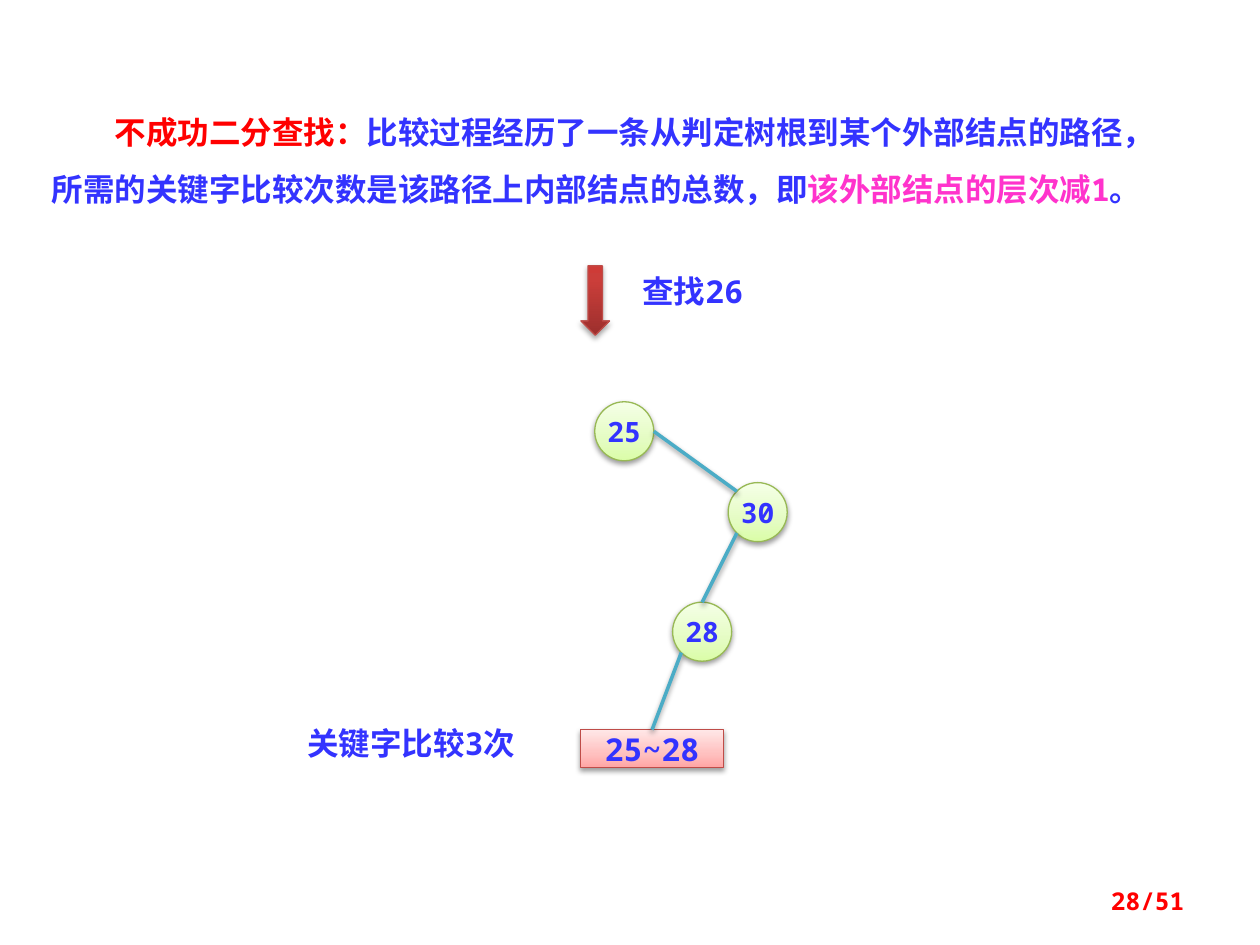
from dataclasses import dataclass
from math import sqrt

from lxml.etree import SubElement
from pptx import Presentation
from pptx.dml.color import RGBColor
from pptx.enum.shapes import MSO_CONNECTOR, MSO_SHAPE
from pptx.enum.text import MSO_ANCHOR, PP_ALIGN
from pptx.oxml import parse_xml
from pptx.oxml.ns import nsdecls, qn
from pptx.util import Cm, Pt


@dataclass(frozen=True)
class Theme:
    font: str = "Noto Sans Mono"
    blue: str = "3333FF"
    red: str = "FF0000"
    pink: str = "FF33CC"
    branch: str = "4BACC6"
    node_line: str = "98B955"
    leaf_line: str = "BF4C48"
    node_fill: tuple = ((0, "DAFDA7"), (35, "E4FCC2"), (100, "F5FFE7"))
    leaf_fill: tuple = ((0, "FFA6A5"), (35, "FFC0BF"), (100, "FFE7E7"))
    arrow_fill: tuple = ((0, "9C2F2D"), (80, "CB3E3A"), (100, "CE3B37"))
    body: int = 18
    key: int = 16
    page: int = 14


theme = Theme()


def add_text(paragraph, text, size, color):
    run = paragraph.add_run()
    run.text = text
    run.font.size = Pt(size)
    run.font.bold = True
    run.font.color.rgb = RGBColor.from_string(color)
    run.font.name = theme.font
    SubElement(run.font._element, qn("a:ea")).set("typeface", theme.font)


def style(item, line_color, line_width, stops=(), opacity=38, distance=1.6):
    item.line.color.rgb = RGBColor.from_string(line_color)
    item.line.width = Pt(line_width)
    properties = item._element.spPr
    if stops:
        item.shadow.inherit = False
        properties.remove(properties.find(qn("a:effectLst")))
        item.fill.gradient()
        item.fill.gradient_angle = 90
        stop_list = properties.find(".//" + qn("a:gsLst"))
        for old_stop in list(stop_list):
            stop_list.remove(old_stop)
        for position, color in stops:
            stop = SubElement(stop_list, qn("a:gs"), pos=str(position * 1000))
            SubElement(stop, qn("a:srgbClr"), val=color)
    properties.append(parse_xml(
        f'<a:effectLst {nsdecls("a")}><a:outerShdw blurRad="{Pt(3.1)}" '
        f'dist="{Pt(distance)}" dir="5400000" rotWithShape="0">'
        f'<a:srgbClr val="000000"><a:alpha val="{opacity * 1000}"/></a:srgbClr>'
        '</a:outerShdw></a:effectLst>'))


prs = Presentation()
prs.slide_width, prs.slide_height = Cm(25.4), Cm(19.05)
slide = prs.slides.add_slide(prs.slide_layouts[6])
shapes = slide.shapes

captions = [
    ((0.79, 1.78, 23.14, 2.44), theme.body, [
        ("不成功二分查找：", theme.red),
        ("比较过程经历了一条从判定树根到某个外部结点的路径，"
         "所需的关键字比较次数是该路径上内部结点的总数，即", theme.blue),
        ("该外部结点的层次减1", theme.pink),
        ("。", theme.blue)]),
    ((12.7, 5.36, 2.59, 1.02), theme.body, [("查找26", theme.blue)]),
    ((5.94, 14.48, 5.56, 1.02), theme.body, [("关键字比较3次", theme.blue)]),
    ((18.21, 17.65, 5.92, 1.02), theme.page, [("28/51", theme.red)]),
]
paragraphs = []
for bounds, size, runs in captions:
    frame = shapes.add_textbox(*map(Cm, bounds)).text_frame
    frame.word_wrap = True
    paragraph = frame.paragraphs[0]
    for text, color in runs:
        add_text(paragraph, text, size, color)
    paragraphs.append(paragraph)

explanation, page_number = paragraphs[0], paragraphs[-1]
explanation.line_spacing = 1.5
explanation._p.get_or_add_pPr().set("indent", str(Cm(1.27)))
page_number.alignment = PP_ALIGN.RIGHT
frame.vertical_anchor = MSO_ANCHOR.MIDDLE

diameter = 1.19
radius = diameter / 2
node_corners = {"25": (11.99, 8.1), "30": (14.68, 9.73), "28": (13.56, 12.14)}
leaf_bounds = (11.71, 14.71, 2.87, 0.76)
tree = [(key, MSO_SHAPE.OVAL, (*corner, diameter, diameter), theme.key,
         theme.node_line, theme.node_fill) for key, corner in node_corners.items()]
tree.append(("25~28", MSO_SHAPE.RECTANGLE, leaf_bounds, theme.body,
             theme.leaf_line, theme.leaf_fill))
for key, preset, bounds, size, line_color, stops in tree:
    node = shapes.add_shape(preset, *map(Cm, bounds))
    style(node, line_color, 0.75, stops)
    frame = node.text_frame
    frame.margin_left = frame.margin_right = frame.margin_top = frame.margin_bottom = 0
    frame.vertical_anchor = MSO_ANCHOR.MIDDLE
    frame.word_wrap = preset == MSO_SHAPE.RECTANGLE
    frame.paragraphs[0].alignment = PP_ALIGN.CENTER
    add_text(frame.paragraphs[0], key, size, theme.blue)

(root_x, root_y), (right_x, right_y), (lower_x, lower_y) = [
    (x + radius, y + radius) for x, y in node_corners.values()]
diagonal = radius / sqrt(2)
leaf_x, leaf_y, leaf_width, leaf_height = leaf_bounds
branches = [
    (root_x + radius, root_y, right_x - diagonal, right_y - diagonal),
    (right_x - diagonal, right_y + diagonal, lower_x, lower_y - radius),
    (lower_x - diagonal, lower_y + diagonal, leaf_x + leaf_width / 2, leaf_y),
]
for ends in branches:
    branch = shapes.add_connector(MSO_CONNECTOR.STRAIGHT, *map(Cm, ends))
    style(branch, theme.branch, 2)

search_arrow = shapes.add_shape(
    MSO_SHAPE.DOWN_ARROW, Cm(11.71), Cm(5.36), Cm(0.58), Cm(1.4))
style(search_arrow, theme.leaf_line, 0.75, theme.arrow_fill, 35, 1.8)

prs.save("out.pptx")
